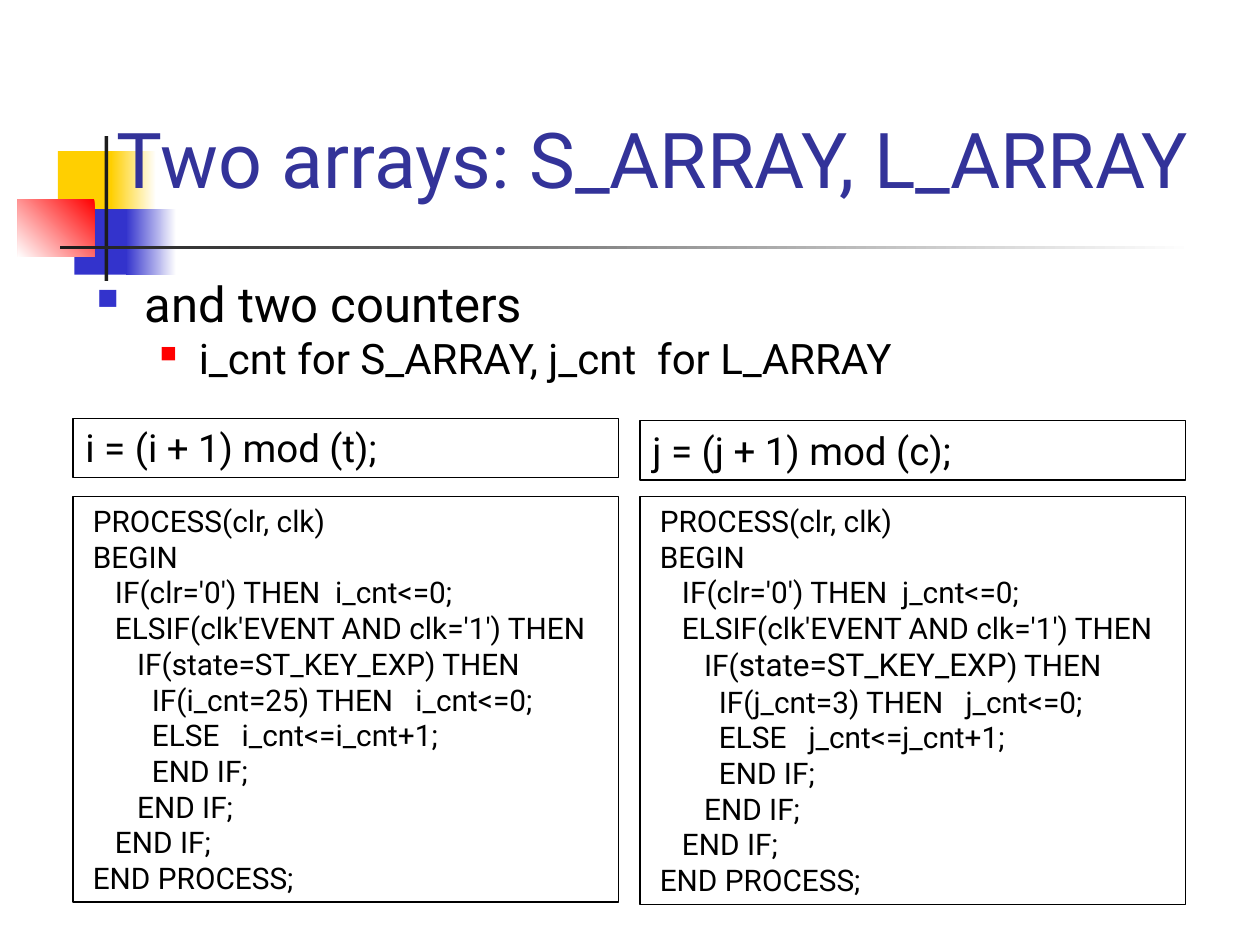
import pptx
import pptx.dml.color
import pptx.enum.shapes
import pptx.enum.text
import pptx.oxml.ns
import pptx.util
from lxml import etree

Inches = pptx.util.Inches
Pt = pptx.util.Pt
RGBColor = pptx.dml.color.RGBColor
MSO_ANCHOR = pptx.enum.text.MSO_ANCHOR
MSO_AUTO_SIZE = pptx.enum.text.MSO_AUTO_SIZE
PP_ALIGN = pptx.enum.text.PP_ALIGN
RECTANGLE = pptx.enum.shapes.MSO_SHAPE.RECTANGLE

WHITE = RGBColor(0xFF, 0xFF, 0xFF)
BLACK = RGBColor(0x00, 0x00, 0x00)
CHARCOAL = RGBColor(0x1C, 0x1C, 0x1C)
YELLOW = RGBColor(0xFF, 0xCF, 0x01)
BLUE = RGBColor(0x33, 0x33, 0xCC)
RED = RGBColor(0xFF, 0x00, 0x00)
NAVY = RGBColor(0x33, 0x33, 0x99)

FONT = "Roboto"
STATE_TEST = "state=ST_KEY_EXP"


def apply_format(target, values):
    for attribute, value in values.items():
        setattr(target, attribute, value)


def add_run(paragraph, text, size, color=BLACK):
    run = paragraph.add_run()
    run.text = text
    apply_format(run.font, {"name": FONT, "size": Pt(size)})
    run.font.color.rgb = color


def add_rectangle(slide, box):
    rectangle = slide.shapes.add_shape(RECTANGLE, *map(Inches, box))
    rectangle.shadow.inherit = False
    return rectangle


def add_ornament(slide, left, top):
    parts = [
        (0.32, 0.12, 0.48, 0.52, [YELLOW], 0),
        (0.74, 0.12, 0.36, 0.52, [WHITE, YELLOW], 180),
        (0.45, 0.58, 0.46, 0.52, [BLUE], 0),
        (0.86, 0.58, 0.40, 0.52, [WHITE, BLUE], 180),
        (0, 0.5, 0.61, 0.46, [RED, WHITE], 225),
        (0.69, 0, 0.03, 1.15, [CHARCOAL], 0),
        (0.34, 0.87, 9, 0.03, [WHITE, CHARCOAL], 180),
    ]
    for x, y, width, height, colors, angle in parts:
        block = add_rectangle(slide, (left + x, top + y, width, height))
        block.line.fill.background()
        if len(colors) == 1:
            block.fill.solid()
            block.fill.fore_color.rgb = colors[0]
        else:
            block.fill.gradient()
            block.fill.gradient_angle = angle
            for stop, color in zip(block.fill.gradient_stops, colors):
                stop.color.rgb = color


def add_title(slide, box, text):
    title = slide.shapes.add_textbox(*map(Inches, box)).text_frame
    apply_format(title, {"word_wrap": True, "vertical_anchor": MSO_ANCHOR.BOTTOM})
    add_run(title.paragraphs[0], text, 44, NAVY)


def add_bullet(paragraph, margin, hanging, color, percent):
    properties = paragraph._p.get_or_add_pPr()
    properties.set("marL", str(Inches(margin)))
    properties.set("indent", str(-Inches(hanging)))
    qn = pptx.oxml.ns.qn
    bullet_color = etree.SubElement(properties, qn("a:buClr"))
    etree.SubElement(bullet_color, qn("a:srgbClr")).set("val", str(color))
    etree.SubElement(properties, qn("a:buSzPct")).set("val", str(percent * 1000))
    etree.SubElement(properties, qn("a:buChar")).set("char", "■")


def add_counter_list(slide, box):
    body = slide.shapes.add_textbox(*map(Inches, box)).text_frame
    body.word_wrap = True
    items = [
        ("and two counters", 28, 0, (0.38, 0.38, BLUE, 60)),
        ("i_cnt for S_ARRAY, j_cnt  for L_ARRAY", 24, 6, (0.81, 0.31, RED, 55)),
    ]
    for level, (text, size, space, bullet) in enumerate(items):
        paragraph = body.add_paragraph() if level else body.paragraphs[0]
        add_bullet(paragraph, *bullet)
        apply_format(paragraph, {
            "level": level, "line_spacing": 0.8, "space_before": Pt(space)})
        add_run(paragraph, text, size)


def add_outlined_frame(slide, box):
    frame = add_rectangle(slide, box)
    frame.fill.background()
    frame.line.color.rgb = BLACK
    frame.line.width = Pt(0.75)
    apply_format(frame.text_frame, {
        "word_wrap": True,
        "auto_size": MSO_AUTO_SIZE.SHAPE_TO_FIT_TEXT,
        "vertical_anchor": MSO_ANCHOR.TOP,
    })
    return frame.text_frame


def add_formula(slide, box, formula):
    paragraph = add_outlined_frame(slide, box).paragraphs[0]
    paragraph.alignment = PP_ALIGN.LEFT
    add_run(paragraph, formula, 22)


def add_process(slide, box, counter, last, state_size):
    code = [
        " PROCESS(clr, clk)",
        " BEGIN",
        f"    IF(clr='0') THEN  {counter}<=0;",
        "    ELSIF(clk'EVENT AND clk='1') THEN",
        f"       IF({STATE_TEST}) THEN",
        f"         IF({counter}={last}) THEN   {counter}<=0;",
        f"         ELSE   {counter}<={counter}+1;",
        "         END IF;",
        "       END IF;",
        "    END IF;",
        " END PROCESS;",
    ]
    frame = add_outlined_frame(slide, box)
    for index, line in enumerate(code):
        paragraph = frame.add_paragraph() if index else frame.paragraphs[0]
        paragraph.alignment = PP_ALIGN.LEFT
        for part in line.partition(STATE_TEST):
            if part:
                add_run(paragraph, part, state_size if part == STATE_TEST else 17)


def main():
    presentation = pptx.Presentation()
    apply_format(presentation, {
        "slide_width": Inches(10), "slide_height": Inches(7.5)})
    slide = presentation.slides.add_slide(presentation.slide_layouts[6])
    add_ornament(slide, 0.14, 1.08)
    add_title(slide, (0.83, 0.75, 9.17, 0.92), "Two arrays: S_ARRAY, L_ARRAY")
    add_counter_list(slide, (0.67, 2.21, 8.67, 0.96))
    columns = [
        (0.58, 3.32, 3.22, "i = (i + 1) mod (t);", "i_cnt", 25, 17),
        (5.08, 3.34, 3.24, "j = (j + 1) mod (c);", "j_cnt", 3, 18),
    ]
    for left, top, height, formula, counter, last, state_size in columns:
        add_formula(slide, (left, top, 4.33, 0.47), formula)
        add_process(slide, (left, 3.94, 4.33, height), counter, last, state_size)
    presentation.save("out.pptx")


if __name__ == "__main__":
    main()
